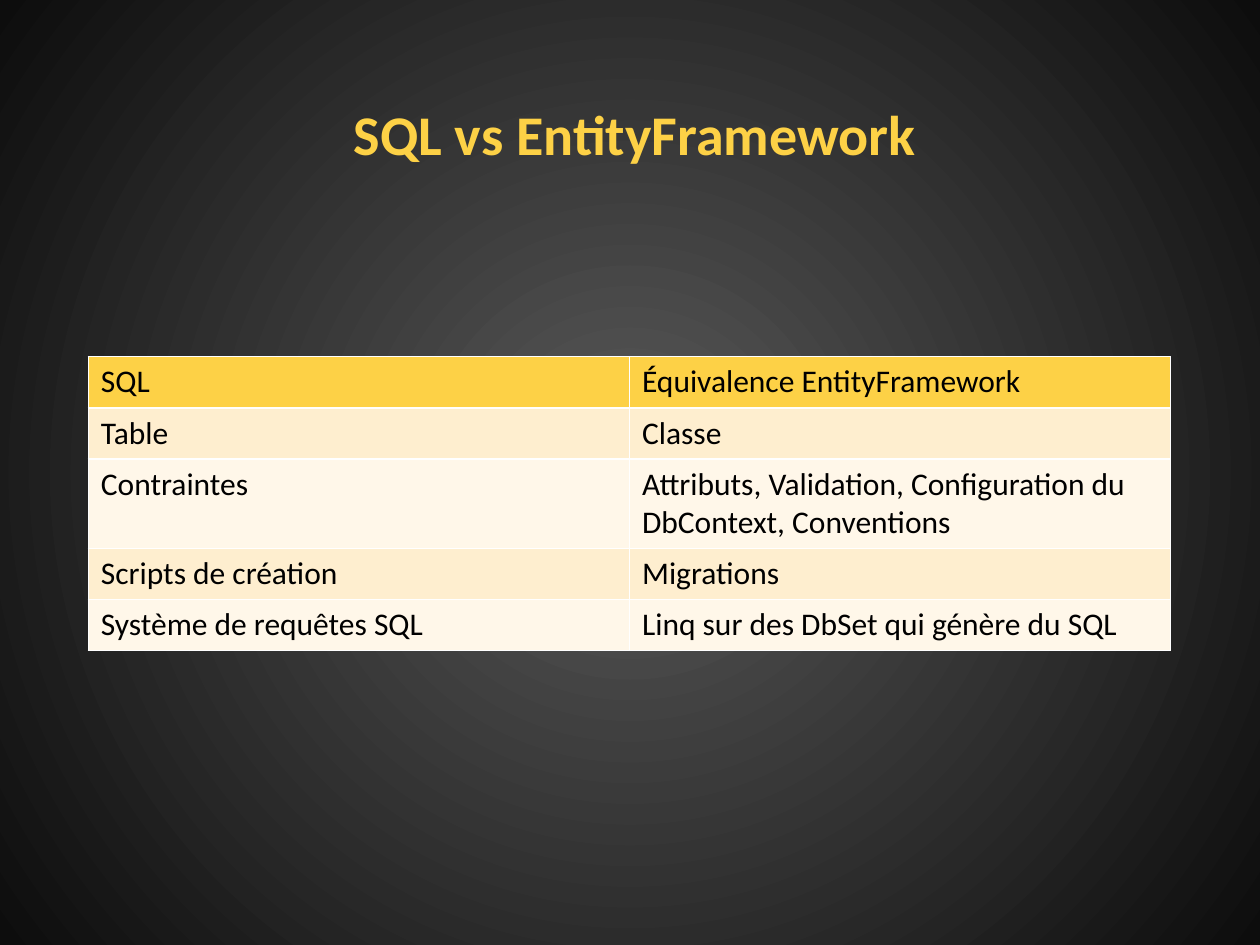
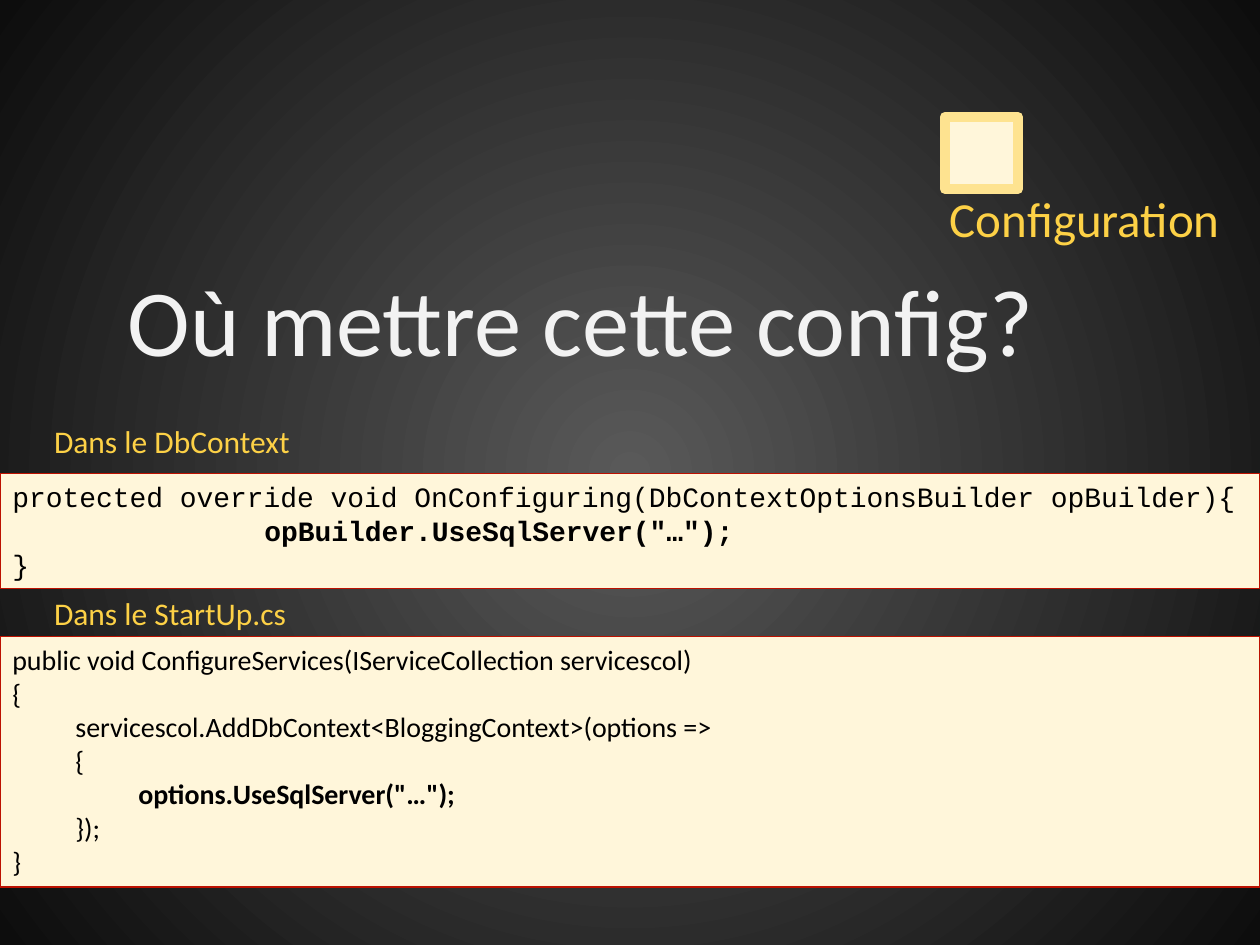
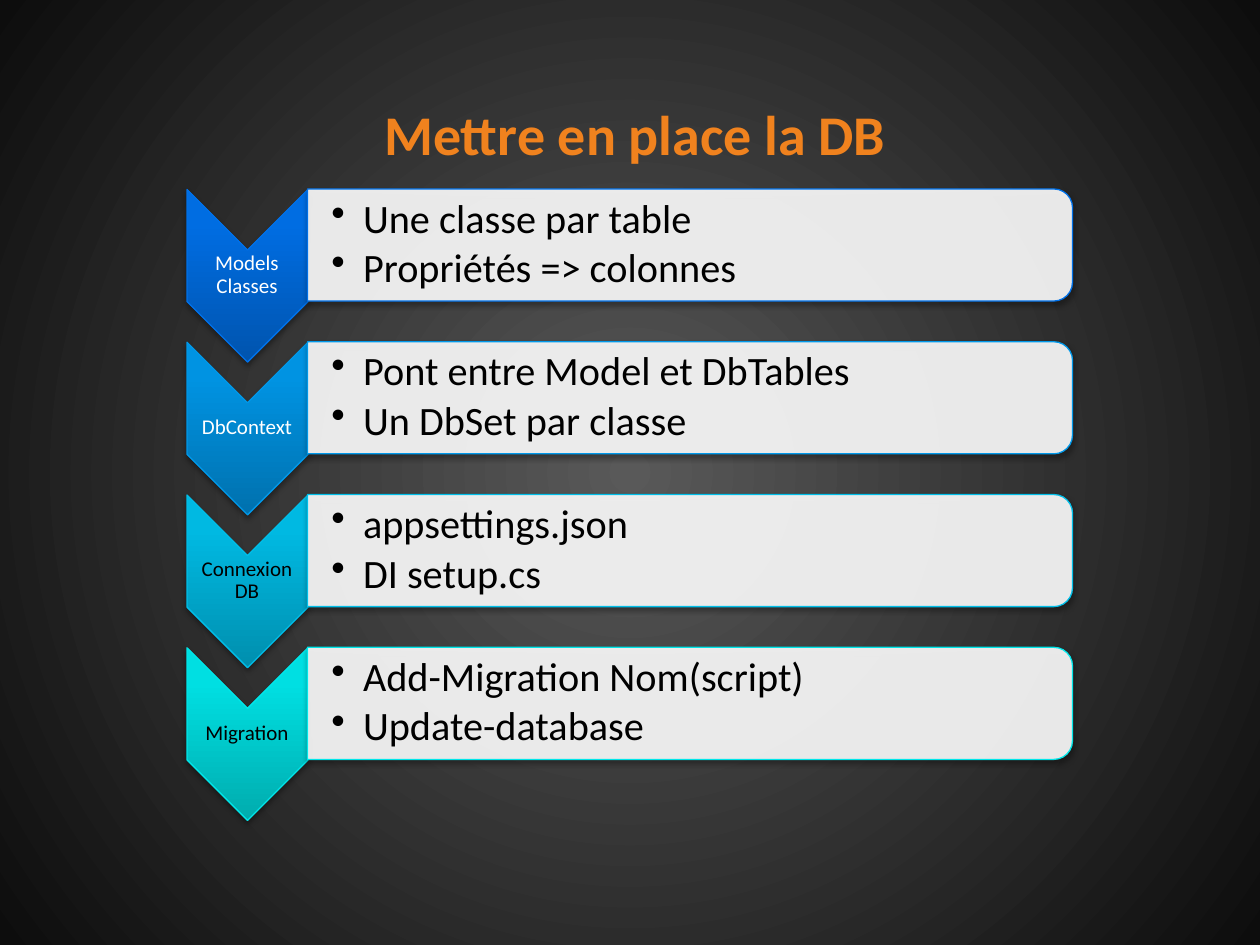
from lxml import etree
from pptx import Presentation
from pptx.dml.color import RGBColor
from pptx.enum.shapes import MSO_SHAPE as SHAPE
from pptx.enum.text import MSO_ANCHOR as ANCHOR, MSO_AUTO_SIZE as AUTO, PP_ALIGN as ALIGN
from pptx.oxml import parse_xml
from pptx.oxml.ns import nsdecls, qn
from pptx.util import Cm, Pt

# Shared look
YELLOW, ORANGE, CREAM, WHITE, BLACK = "FDD146", "F0821E", "FFF6DA", "FFFFFF", "000000"
BANDS = ["FEEECF", "FFF7E9"]
TITLE_BOX = (0.2, 0.64, 25.2, 4.09)

# Content
EQUIVALENCES = [
    ("SQL", "Équivalence EntityFramework"),
    ("Table", "Classe"),
    ("Contraintes", "Attributs, Validation, Configuration du DbContext, Conventions"),
    ("Scripts de création", "Migrations"),
    ("Système de requêtes SQL", "Linq sur des DbSet qui génère du SQL"),
]

# Code lines: text, indent in cm, bold
CONTEXT_CODE = [
    ("protected override void OnConfiguring(DbContextOptionsBuilder opBuilder){", 0, False),
    ('opBuilder.UseSqlServer("…");', 5.08, True),
    ("}", 0, False),
]
STARTUP_CODE = [
    ("public void ConfigureServices(IServiceCollection servicescol)", 0, False),
    ("{", 0, False),
    ("servicescol.AddDbContext<BloggingContext>(options =>", 1.27, False),
    ("{", 1.27, False),
    ('options.UseSqlServer("…");', 2.54, True),
    ("});", 1.27, False),
    ("}", 0, False),
]
# Label, label top, code, code top, code height, font
CODE_BLOCKS = [
    ("Dans le DbContext", 8.38, CONTEXT_CODE, 9.55, 2.31, "Courier New"),
    ("Dans le StartUp.cs", 11.86, STARTUP_CODE, 12.83, 5.05, "Calibri"),
]

# Step, details, dark and light gradient colours, line colour, label colour
STEPS = [
    ("Models Classes", ["Une classe par table", "Propriétés => colonnes"],
     "0054AE", "006DE2", "0071E9", WHITE),
    ("DbContext", ["Pont entre Model et DbTables", "Un DbSet par classe"],
     "0071AE", "0093E2", "0098E9", WHITE),
    ("Connexion DB", ["appsettings.json", "DI setup.cs"],
     "008FAE", "00B9E2", "00BFE9", BLACK),
    ("Migration", ["Add-Migration Nom(script)", "Update-database"],
     "00ACAE", "00DFE2", "00E6E9", BLACK),
]
STEP_PITCH = 3.08


def rgb(color):
    return RGBColor.from_string(color)


def put(tf, lines, size=18, color=BLACK, font="Calibri", bold=False, align=ALIGN.LEFT,
        anchor=ANCHOR.TOP, wrap=True, margins=None, spacing=None, after=None, bullet=False):
    """Write lines, each a string or (text, indent in cm, bold)."""
    tf.auto_size, tf.word_wrap, tf.vertical_anchor = AUTO.NONE, wrap, anchor
    if margins:
        tf.margin_left, tf.margin_top, tf.margin_right, tf.margin_bottom = map(Cm, margins)
    for i, line in enumerate(lines):
        text, indent, strong = (line, 0, bold) if isinstance(line, str) else line
        p = tf.add_paragraph() if i else tf.paragraphs[0]
        pPr = p._p.get_or_add_pPr()
        if bullet:
            pPr.set("marL", str(Cm(0.64)))
            pPr.set("indent", str(-Cm(0.64)))
            etree.SubElement(pPr, qn("a:buChar"), char="•")
        elif indent:
            pPr.set("marL", str(Cm(indent)))
        p.alignment = align
        if spacing:
            p.line_spacing = spacing
        if after:
            p.space_after = Pt(after)
        r = p.add_run()
        r.text = text
        r.font.name, r.font.size, r.font.bold = font, Pt(size), strong
        r.font.color.rgb = rgb(color)


def place(sp, left, top, width, height):
    sp.left, sp.top, sp.width, sp.height = map(Cm, (left, top, width, height))


def add_text(slide, box, lines, **fmt):
    put(slide.shapes.add_textbox(*map(Cm, box)).text_frame, lines, **fmt)


def add_box(slide, kind, box, fill, line, width=0.75):
    sp = slide.shapes.add_shape(kind, *map(Cm, box))
    sp.shadow.inherit = False
    sp.fill.solid()
    sp.fill.fore_color.rgb = rgb(fill)
    sp.line.color.rgb = rgb(line)
    sp.line.width = Pt(width)
    return sp


def add_slide(prs, title, box=TITLE_BOX, size=32, color=YELLOW, bold=True, **fmt):
    slide = prs.slides.add_slide(prs.slide_layouts[5])
    place(slide.shapes.title, *box)
    put(slide.shapes.title.text_frame, [title], size=size, color=color, bold=bold,
        align=ALIGN.CENTER, anchor=ANCHOR.MIDDLE, **fmt)
    return slide


def set_gradient(fill, root, first, last, end=1.0):
    """Two-colour gradient; returns its element for the direction."""
    fill.gradient()
    for stop, color, pos in zip(fill.gradient_stops, (first, last), (0, end)):
        stop.color.rgb, stop.position = rgb(color), pos
    return next(root.iter(qn("a:gradFill")))


def set_background(master):
    grad = set_gradient(master.background.fill, master._element, "595959", "0D0D0D")
    grad.replace(grad.find(qn("a:lin")), parse_xml(
        f'<a:path {nsdecls("a")} path="circle">'
        '<a:fillToRect l="50000" t="50000" r="50000" b="50000"/></a:path>'))


def add_shadow(sp):
    effects = sp._element.spPr.find(qn("a:effectLst"))
    effects.append(parse_xml(
        f'<a:outerShdw {nsdecls("a")} blurRad="{Pt(3.1)}" dist="{Pt(1.8)}" dir="5400000" '
        'rotWithShape="0"><a:srgbClr val="000000"><a:alpha val="35000"/></a:srgbClr>'
        '</a:outerShdw>'))


def set_borders(cell, color, width):
    tcPr = cell._tc.get_or_add_tcPr()
    for side in ("lnL", "lnR", "lnT", "lnB"):
        tcPr.append(parse_xml(
            f'<a:{side} {nsdecls("a")} w="{Pt(width)}"><a:solidFill>'
            f'<a:srgbClr val="{color}"/></a:solidFill></a:{side}>'))


def comparison_slide(prs):
    slide = add_slide(prs, "SQL vs EntityFramework")
    rows, row_h = len(EQUIVALENCES), 1.03
    table = slide.shapes.add_table(rows, 2, Cm(1.78), Cm(7.19), Cm(21.82),
                                   Cm(rows * row_h)).table
    table.first_row = table.horz_banding = False
    for i, row in enumerate(EQUIVALENCES):
        table.rows[i].height = Cm(row_h)
        for j, text in enumerate(row):
            cell = table.cell(i, j)
            set_borders(cell, WHITE, 1)
            cell.fill.solid()
            cell.fill.fore_color.rgb = rgb(BANDS[(i - 1) % 2] if i else YELLOW)
            put(cell.text_frame, [text])


def configuration_slide(prs):
    slide = add_slide(prs, "Où mettre cette config?", box=(2.01, 5.13, 19.38, 2.57),
                      size=54, color="F2F2F2", bold=False, wrap=False)
    add_box(slide, SHAPE.RECTANGLE, (19.05, 2.36, 1.47, 1.45), CREAM, "FEE390", 6)
    add_text(slide, (17.35, 3.68, 9.04, 1.45), ["Configuration"], size=28, color=YELLOW,
             align=ALIGN.CENTER)
    for label, label_top, code, top, height, font in CODE_BLOCKS:
        add_text(slide, (0.84, label_top, 7.62, 1.02), [label], color=YELLOW)
        sp = add_box(slide, SHAPE.RECTANGLE, (0, top, 25.4, height), CREAM, "BC1100")
        put(sp.text_frame, code, size=16, font=font)


def steps_slide(prs):
    slide = add_slide(prs, "Mettre en place la DB", color=ORANGE)
    for i, (step, details, dark, light, line, label_color) in enumerate(STEPS):
        dy = i * STEP_PITCH
        # Chevron pointing down with its label
        chevron = add_box(slide, SHAPE.CHEVRON, (3.25, 4.34 + dy, 3.48, 2.44), light, line)
        chevron.rotation = 90
        grad = set_gradient(chevron.fill, chevron._element, dark, light, 0.8)
        grad.set("rotWithShape", "0")
        chevron.fill.gradient_angle = 90
        add_shadow(chevron)
        add_text(slide, (3.76, 5.03 + dy, 2.44, 1.04), [step], size=12, color=label_color,
                 align=ALIGN.CENTER, anchor=ANCHOR.MIDDLE, margins=[0.02] * 4, spacing=0.9)
        # Translucent panel with its details
        panel = add_box(slide, SHAPE.ROUND_2_SAME_RECTANGLE,
                        (12.78, -2.77 + dy, 2.26, 15.42), WHITE, line)
        panel.rotation = 90
        white = panel._element.spPr.find(qn("a:solidFill")).find(qn("a:srgbClr"))
        etree.SubElement(white, qn("a:alpha"), val="90000")
        add_shadow(panel)
        add_text(slide, (6.22, 3.92 + dy, 15.32, 2.03), details, size=23, bullet=True,
                 anchor=ANCHOR.MIDDLE, margins=(0.46, 0.04, 0.04, 0.04), spacing=0.9,
                 after=3.5)


def main():
    prs = Presentation()
    prs.slide_width, prs.slide_height = Cm(25.4), Cm(19.05)
    set_background(prs.slide_master)
    comparison_slide(prs)
    configuration_slide(prs)
    steps_slide(prs)
    prs.save("out.pptx")


if __name__ == "__main__":
    main()
